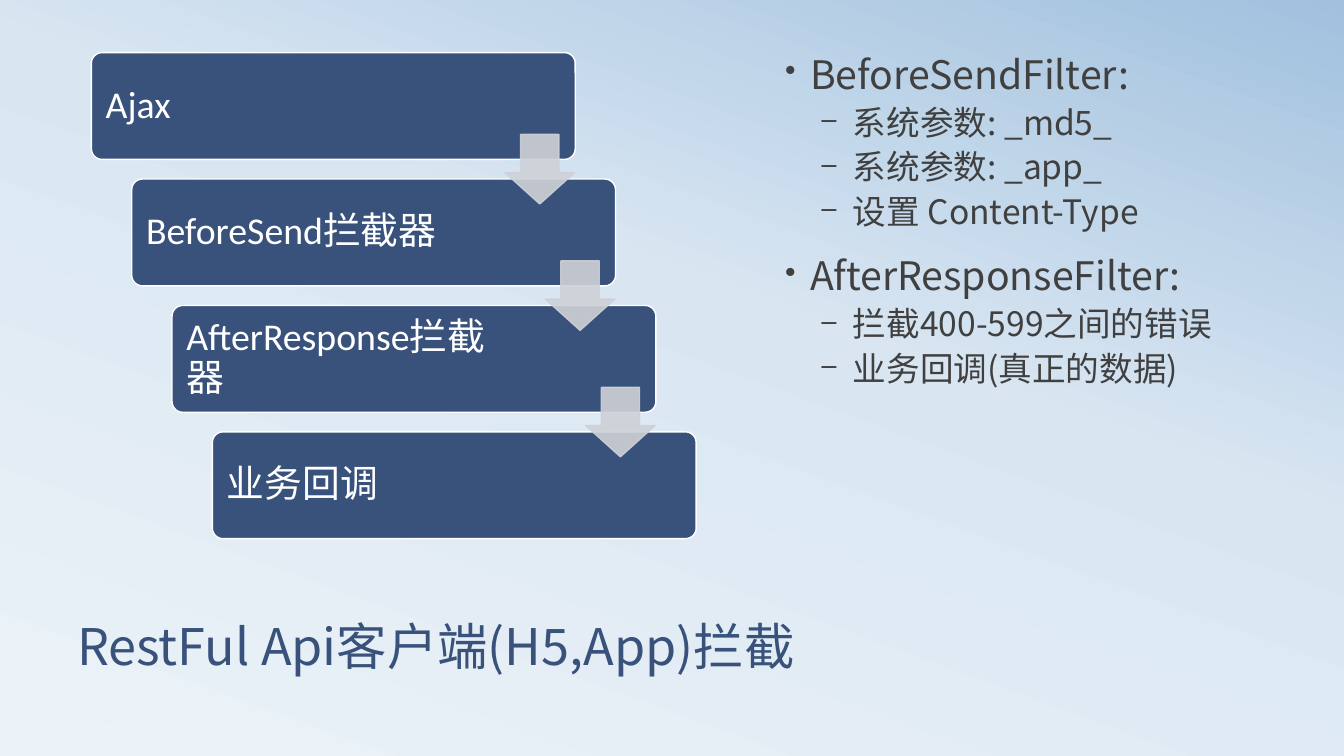
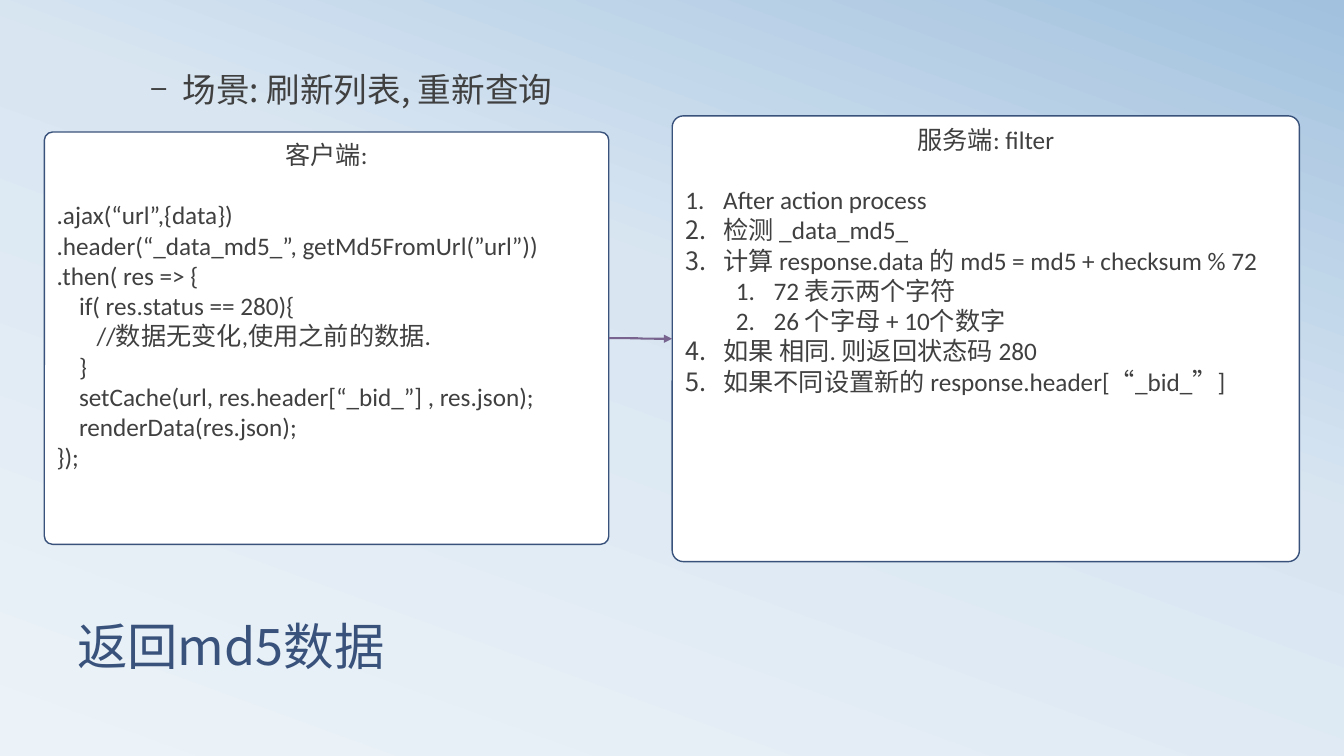
from lxml.etree import SubElement
from pptx import Presentation
from pptx.dml.color import RGBColor
from pptx.enum.shapes import MSO_CONNECTOR as Connector, MSO_SHAPE as Shape
from pptx.enum.text import MSO_ANCHOR as Anchor, PP_ALIGN as Align
from pptx.oxml.ns import qn
from pptx.util import Pt

NAVY, INK, WHITE = "39527B", "404040", "FFFFFF"
SILVER, PURPLE = "CED1D7", "78648E"
SKY = [(0, "ECF3F8"), (58, "D9E6F2"), (100, "A1C1DE")]
SANS, BODY = "Noto Sans CJK SC", "Calibri"


def rgb(value):
    """Turn a hex string into a colour."""
    return RGBColor.from_string(value)


def paint_background(master):
    """Give every slide the diagonal sky gradient."""
    fill = master.background.fill
    fill.gradient()
    fill.gradient_angle = 70
    stops = master.element.find(".//" + qn("a:gsLst"))
    for stop in list(stops):
        stops.remove(stop)
    for percent, color in SKY:
        stop = SubElement(stops, qn("a:gs"), pos=str(percent * 1000))
        SubElement(stop, qn("a:srgbClr"), val=color)


def style(para, size, color, face, spacing=None, before=0, after=0):
    """Set the font and the spacing of a paragraph."""
    para.font.size = Pt(size)
    para.font.color.rgb = rgb(color)
    para.font.name = face
    SubElement(para.font._element, qn("a:ea"), typeface=SANS)
    para.space_before, para.space_after = Pt(before), Pt(after)
    if spacing:
        para.line_spacing = spacing


def indent(para, left, hanging=0, level=0, marker=None, **attributes):
    """Indent a paragraph and put a list marker in front of it."""
    para.level = level
    props = para._p.get_or_add_pPr()
    props.set("marL", str(Pt(left)))
    props.set("indent", str(-Pt(hanging)))
    if marker:
        font = props.find(qn("a:defRPr"))
        if marker == "a:buChar":
            scale = SubElement(props, qn("a:buSzPct"), val="80000")
            font.addprevious(scale)
        font.addprevious(SubElement(props, qn(marker), **attributes))


def add_para(frame, text):
    """Write a paragraph, using the empty first one when there is one."""
    first = frame.paragraphs[0]
    para = frame.add_paragraph() if first.text else first
    para.text = text
    para.alignment = Align.LEFT
    return para


def add_text(page, left, top, width, height):
    """Add a wrapping text box and return its frame."""
    frame = page.shapes.add_textbox(Pt(left), Pt(top), Pt(width), Pt(height)).text_frame
    frame.word_wrap = True
    return frame


def add_title(page, text):
    """Add the slide title at the foot of the page."""
    frame = add_text(page, 48, 402, 864, 84)
    frame.vertical_anchor = Anchor.BOTTOM
    style(add_para(frame, text), 36, NAVY, SANS, 0.8)


def add_bullets(page, left, top, width, height, items):
    """Add a two-level bullet list from (level, text) pairs."""
    frame = add_text(page, left, top, width, height)
    for level, text in items:
        para = add_para(frame, text)
        if level:
            style(para, 24, INK, SANS, 0.9, before=6)
            indent(para, 48.5, 22.3, 1, "a:buChar", char="–")
        else:
            style(para, 28, INK, SANS, 0.9, before=18)
            indent(para, 18, 18, 0, "a:buChar", char="•")


def add_shape(page, kind, left, top, width, height, fill, line, adjust):
    """Add a flat preset shape with a one-point outline."""
    shape = page.shapes.add_shape(kind, Pt(left), Pt(top), Pt(width), Pt(height))
    shape.shadow.inherit = False
    shape.fill.solid()
    shape.fill.fore_color.rgb = rgb(fill)
    shape.line.color.rgb = rgb(line)
    shape.line.width = Pt(1)
    for index, value in enumerate(adjust):
        shape.adjustments[index] = value
    return shape


def add_step(page, left, top, width, height, text):
    """Add one labelled step of the staircase."""
    step = add_shape(page, Shape.ROUNDED_RECTANGLE, left, top, width, height, NAVY, WHITE, [0.1])
    frame = step.text_frame
    frame.word_wrap = True
    frame.vertical_anchor = Anchor.MIDDLE
    frame.margin_left, frame.margin_right = Pt(8), Pt(94)
    style(add_para(frame, text), 27, WHITE, BODY, 0.9)


def add_arrow(page, left, top, size):
    """Add a slightly transparent down arrow."""
    arrow = add_shape(page, Shape.DOWN_ARROW, left, top, size, size, SILVER, SILVER, [0.55, 0.45])
    for color in arrow.element.spPr.iter(qn("a:srgbClr")):
        SubElement(color, qn("a:alpha"), val="90000")


def add_staircase(page, labels):
    """Add descending steps with an arrow between neighbours."""
    places = [(65.3 + 28.8 * i, 37.6 + 90.3 * i) for i in range(len(labels))]
    for (left, top), label in zip(places, labels):
        add_step(page, left, top, 345.6, 76.3, label)
    for left, top in places[:-1]:
        add_arrow(page, left + 295.4, top + 58.4, 49.7)


def add_panel(page, left, top, width, height, corner, heading):
    """Add a white panel with a centred heading."""
    panel = add_shape(page, Shape.ROUNDED_RECTANGLE, left, top, width, height, WHITE, NAVY, [corner])
    frame = panel.text_frame
    frame.word_wrap = True
    frame.vertical_anchor = Anchor.TOP
    para = add_para(frame, heading)
    para.alignment = Align.CENTER
    style(para, 18, INK, BODY, after=21.5)
    return panel


def add_code(panel, lines):
    """Write code from (indent, text) pairs."""
    for left, text in lines:
        para = add_para(panel.text_frame, text)
        style(para, 18, INK, BODY)
        indent(para, left)


def add_numbers(panel, items):
    """Write a numbered list from (level, text) pairs."""
    for level, text in items:
        para = add_para(panel.text_frame, text)
        style(para, 18, INK, BODY)
        indent(para, 27 + 36 * level, 27, level, "a:buAutoNum", type="arabicPeriod")


def link(page, source, target):
    """Join two panels with a curved arrow."""
    connector = page.shapes.add_connector(Connector.CURVE, 0, 0, 0, 0)
    connector.begin_connect(source, 3)
    connector.end_connect(target, 1)
    connector.line.color.rgb = rgb(PURPLE)
    connector.line.width = Pt(1.5)
    props = connector.element.spPr
    SubElement(props.find(qn("a:ln")), qn("a:tailEnd"), type="triangle")
    SubElement(props, qn("a:effectLst"))


def build_filters(page):
    """Show the client-side interceptors."""
    add_title(page, "RestFul Api客户端(H5,App)拦截")
    add_bullets(page, 553.7, 36, 374.4, 391, [
        (0, "BeforeSendFilter:"),
        (1, "系统参数: _md5_"),
        (1, "系统参数: _app_"),
        (1, "设置 Content-Type"),
        (0, "AfterResponseFilter:"),
        (1, "拦截400-599之间的错误"),
        (1, "业务回调(真正的数据)"),
    ])
    add_staircase(page, ["Ajax", "BeforeSend拦截器", "AfterResponse拦截器", "业务回调"])


def build_md5(page):
    """Show how client and server exchange the md5."""
    add_title(page, "返回md5数据")
    add_bullets(page, 74.9, 49, 810, 33.8, [(1, "场景: 刷新列表, 重新查询")])
    client = add_panel(page, 31.7, 94.3, 403.2, 294.5, 0.02, "客户端:")
    add_code(client, [
        (0, ".ajax(“url”,{data})"),
        (0, ".header(“_data_md5_”, getMd5FromUrl(”url”))"),
        (0, ".then( res => {"),
        (16, "if( res.status == 280){"),
        (28.5, "//数据无变化,使用之前的数据."),
        (16, "}"),
        (16, "setCache(url, res.header[“_bid_”] , res.json);"),
        (16, "renderData(res.json);"),
        (0, "});"),
    ])
    server = add_panel(page, 480.2, 82.8, 448, 318.4, 0.025, "服务端: filter")
    add_numbers(server, [
        (0, "After action process"),
        (0, "检测 _data_md5_"),
        (0, "计算 response.data 的 md5 = md5 + checksum % 72"),
        (1, "72 表示两个字符"),
        (1, "26 个字母 + 10个数字"),
        (0, "如果 相同. 则返回状态码 280"),
        (0, "如果不同设置新的 response.header[“_bid_”]"),
    ])
    link(page, client, server)


def main():
    """Build and save the deck."""
    deck = Presentation()
    deck.slide_width, deck.slide_height = Pt(960), Pt(540)
    paint_background(deck.slide_master)
    for build in (build_filters, build_md5):
        build(deck.slides.add_slide(deck.slide_layouts[6]))
    deck.save("out.pptx")


if __name__ == "__main__":
    main()
